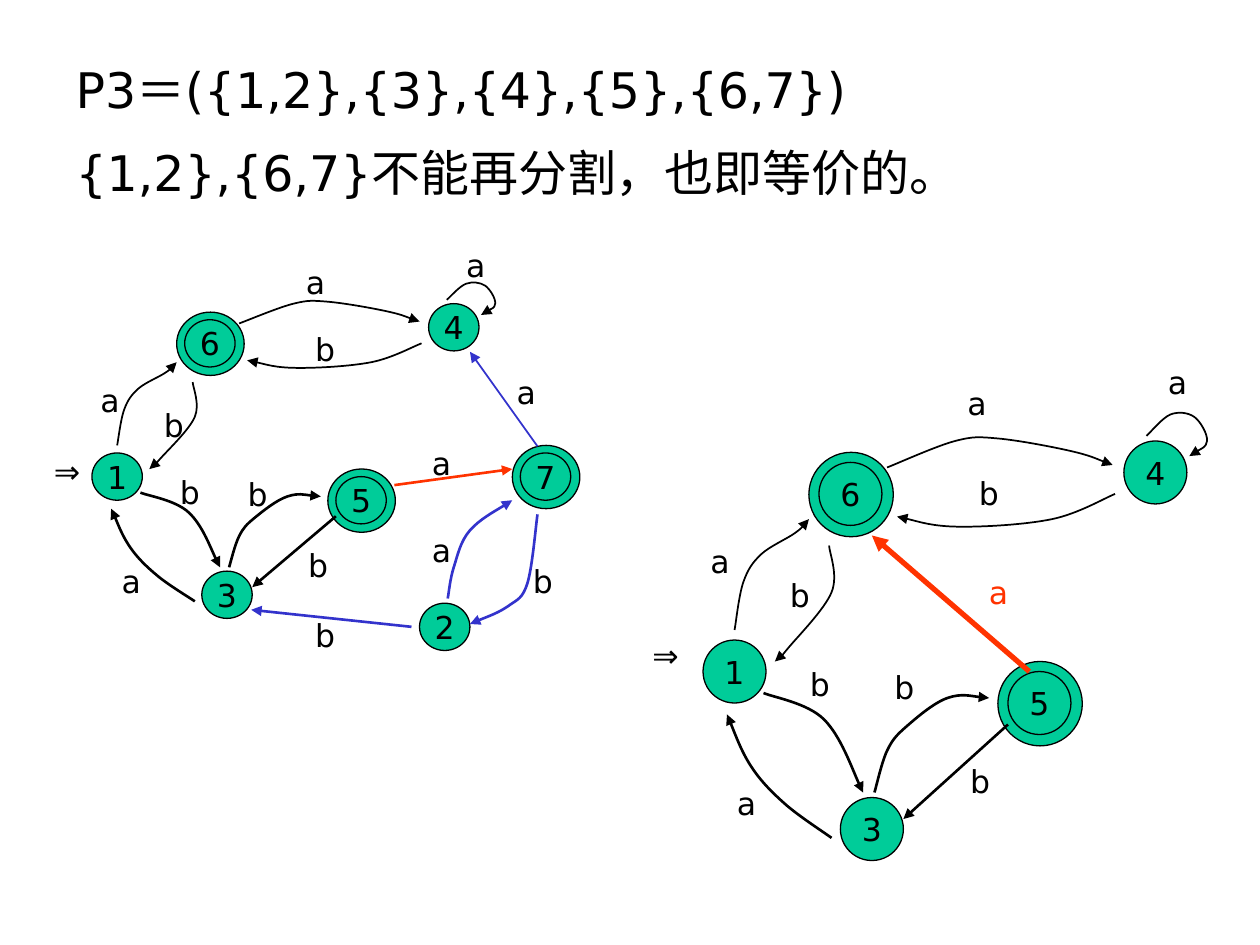
from lxml import etree
from pptx import Presentation, util as u
from pptx.dml.color import RGBColor
from pptx.enum import shapes, text
from pptx.oxml.ns import qn

INCH = 2.54
BLACK, GREEN, BLUE, RED = "000000", "00CC99", "3333CC", "FF3300"
FONT = "DejaVu Sans"
hue = RGBColor.from_string


def write(frame, words, size, tint, align):
    frame.text = words
    for para in frame.paragraphs:
        para.alignment = align
        for run in para.runs:
            run.font.name = FONT
            run.font.size = u.Pt(size)
            run.font.color.rgb = hue(tint)


nodes = {"1": (5.58, 5.08), "6": (6.5, 3.67), "4": (8.92, 3.5),
         "3": (6.67, 6.33), "5": (8, 5.33)}
final = "567"
labels = [("⇒", 5.08, 5), ("a", 5.54, 4.25), ("a", 7.58, 3), ("a", 9.17, 2.83),
          ("a", 5.75, 6.17), ("b", 7.67, 3.71), ("b", 6.17, 4.52), ("b", 6.33, 5.23),
          ("b", 7, 5.25), ("b", 7.6, 6)]
edges = [
    (BLACK, 1, [(5.83, 5), (5.9, 4.62), (6.04, 4.4), (6.31, 4.23), (6.42, 4.12)]),
    (BLACK, 1, [(6.58, 4.33), (6.6, 4.7), (6.25, 5.15), (6.15, 5.25)]),
    (BLACK, 1, [(7.04, 3.71), (7.58, 3.5), (7.92, 3.48), (8.5, 3.58), (8.83, 3.69)]),
    (BLACK, 1, [(8.85, 3.92), (8.35, 4.12), (7.6, 4.18), (7.12, 4.1)]),
    (BLACK, 1, [(9.1, 3.46), (9.29, 3.29), (9.48, 3.31), (9.58, 3.5), (9.44, 3.62)]),
    (BLACK, 1.5, [(6.94, 6.29), (7.04, 5.96), (7.19, 5.77), (7.52, 5.54), (7.85, 5.54)]),
    (BLACK, 1.5, [(6.6, 6.65), (6.23, 6.38), (5.96, 6.08), (5.77, 5.67)]),
    (BLACK, 1.5, [(6.06, 5.5), (6.54, 5.71), (6.85, 6.29)]),
    (BLACK, 1.5, [(8, 5.75), (7.17, 6.5)]),
]

more_nodes = {"7": (9.83, 5.08), "2": (8.83, 6.67)}
more_labels = [("a", 9.67, 4.17), ("a", 8.83, 4.92), ("a", 8.83, 5.84),
               ("b", 7.67, 6.74), ("b", 9.83, 6.17)]
more_edges = [
    (BLUE, 1.5, [(9.11, 6.62), (9.17, 6.29), (9.33, 5.9), (9.75, 5.58)]),
    (BLUE, 1.5, [(10, 5.73), (9.9, 6.46), (9.71, 6.7), (9.33, 6.89)]),
    (BLUE, 1, [(10, 5.01), (9.33, 4.01)]),
    (RED, 1.5, [(8.58, 5.42), (9.75, 5.25)]),
    (BLUE, 1.5, [(8.75, 6.92), (7.16, 6.74)]),
]

deck = Presentation()
deck.slide_width, deck.slide_height = u.Cm(25.4), u.Cm(19.05)
slide = deck.slides.add_slide(deck.slide_layouts[5])

title = slide.shapes.title
title.left, title.top = u.Cm(0.5 * INCH), u.Cm(0.42 * INCH)
title.width, title.height = u.Cm(8.67 * INCH), u.Cm(1.27 * INCH)
frame = title.text_frame
write(frame, "P3＝({1,2},{3},{4},{5},{6,7})\n{1,2},{6,7}不能再分割，也即等价的。",
      28, BLACK, text.PP_ALIGN.LEFT)
frame.vertical_anchor = text.MSO_ANCHOR.TOP
frame.word_wrap = True
frame.paragraphs[1].space_before = u.Pt(14)

full = (slide.shapes, 0.73, 2.41, 0.8, 0.75, nodes | more_nodes,
        edges + more_edges, labels + more_labels, BLACK)
small = (slide.shapes.add_group_shape().shapes, 5.58, 3.5, 1, 1, nodes,
         edges + [(RED, 3, [(8.17, 5.33), (6.92, 4.25)])],
         labels + [("a", 7.75, 4.5)], RED)

for tree, left, top, wide, high, states, moves, marks, last in (full, small):
    def place(x, y):
        return (u.Cm((left + (x - 5.58) * wide) * INCH),
                u.Cm((top + (y - 3.5) * high) * INCH))

    discs = [("", x - 0.08, y - 0.08, 0.67) for name, (x, y) in states.items()
             if name in final]
    discs += [(name, x, y, 0.5) for name, (x, y) in states.items()]
    for name, x, y, size in discs:
        disc = tree.add_shape(shapes.MSO_SHAPE.OVAL, *place(x, y),
                              u.Cm(size * wide * INCH), u.Cm(size * high * INCH))
        disc.shadow.inherit = False
        disc.fill.solid()
        disc.fill.fore_color.rgb = hue(GREEN)
        disc.line.color.rgb = hue(BLACK)
        disc.line.width = u.Pt(0.75)
        if name:
            write(disc.text_frame, name, 18, BLACK, text.PP_ALIGN.CENTER)
            disc.text_frame.word_wrap = False
            disc.text_frame.vertical_anchor = text.MSO_ANCHOR.MIDDLE

    for tint, width, points in moves:
        spots = [place(*point) for point in points]
        if len(spots) == 2:
            edge = tree.add_connector(shapes.MSO_CONNECTOR.STRAIGHT, *spots[0], *spots[1])
        else:
            pen = tree.build_freeform(*spots[0])
            chain = spots[:1] + spots + spots[-1:]
            for a, b, c, d in zip(chain, chain[1:], chain[2:], chain[3:]):
                pen.add_line_segments([
                    [q + (r - p) // 6 for p, q, r in zip(a, b, c)],
                    [r - (s - q) // 6 for q, r, s in zip(b, c, d)],
                    c], close=False)
            edge = pen.convert_to_shape()
            edge.fill.background()
            route = next(edge._element.iter(qn("a:path")))
            steps = route.findall(qn("a:lnTo"))
            for start in range(0, len(steps), 3):
                cubic = etree.SubElement(route, qn("a:cubicBezTo"))
                for step in steps[start:start + 3]:
                    cubic.append(step[0])
                    route.remove(step)
        edge.line.color.rgb = hue(tint)
        edge.line.width = u.Pt(width)
        props = edge._element.spPr
        etree.SubElement(props.find(qn("a:ln")), qn("a:tailEnd"), type="triangle")
        etree.SubElement(props, qn("a:effectLst"))

    for spot, (mark, x, y) in enumerate(marks, 1):
        box = tree.add_textbox(*place(x, y), u.Cm(0.58 * wide * INCH), u.Cm(0.5 * INCH))
        box.text_frame.word_wrap = True
        tint = last if spot == len(marks) else BLACK
        write(box.text_frame, mark, 18, tint, text.PP_ALIGN.LEFT)

deck.save("out.pptx")
